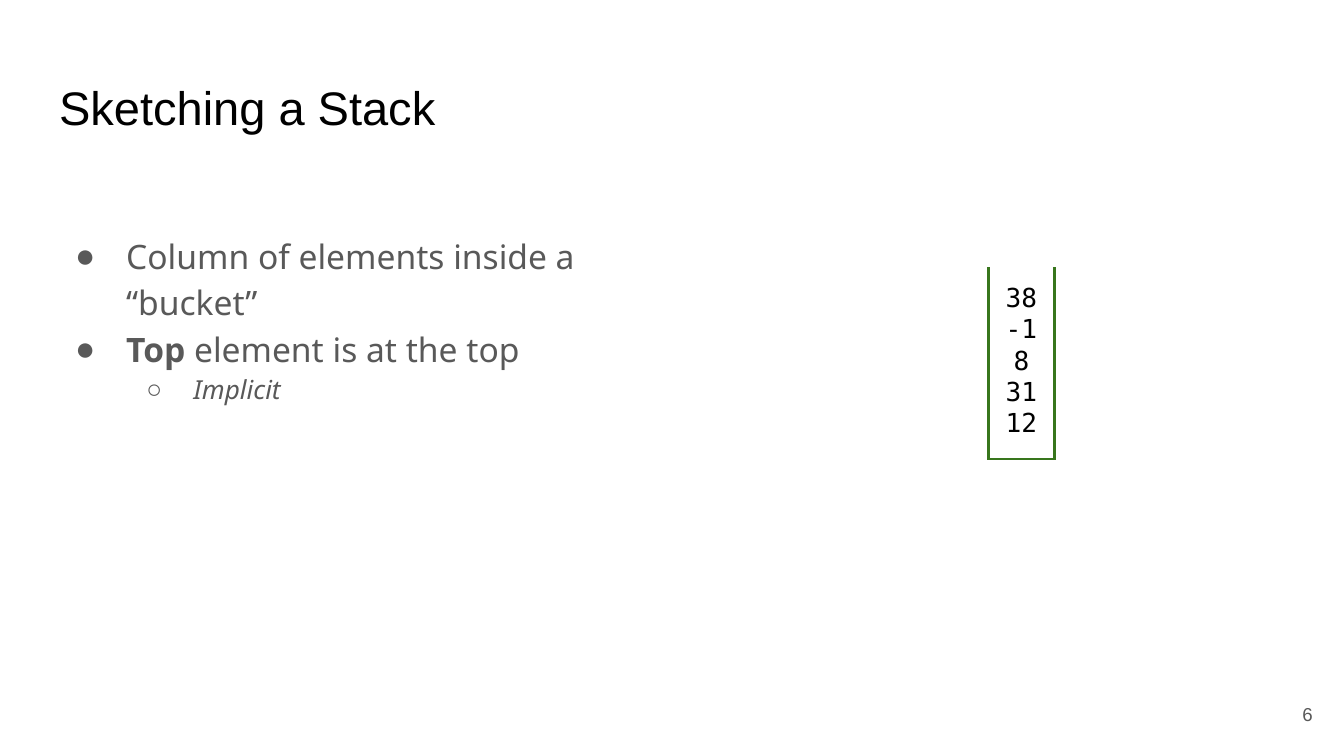
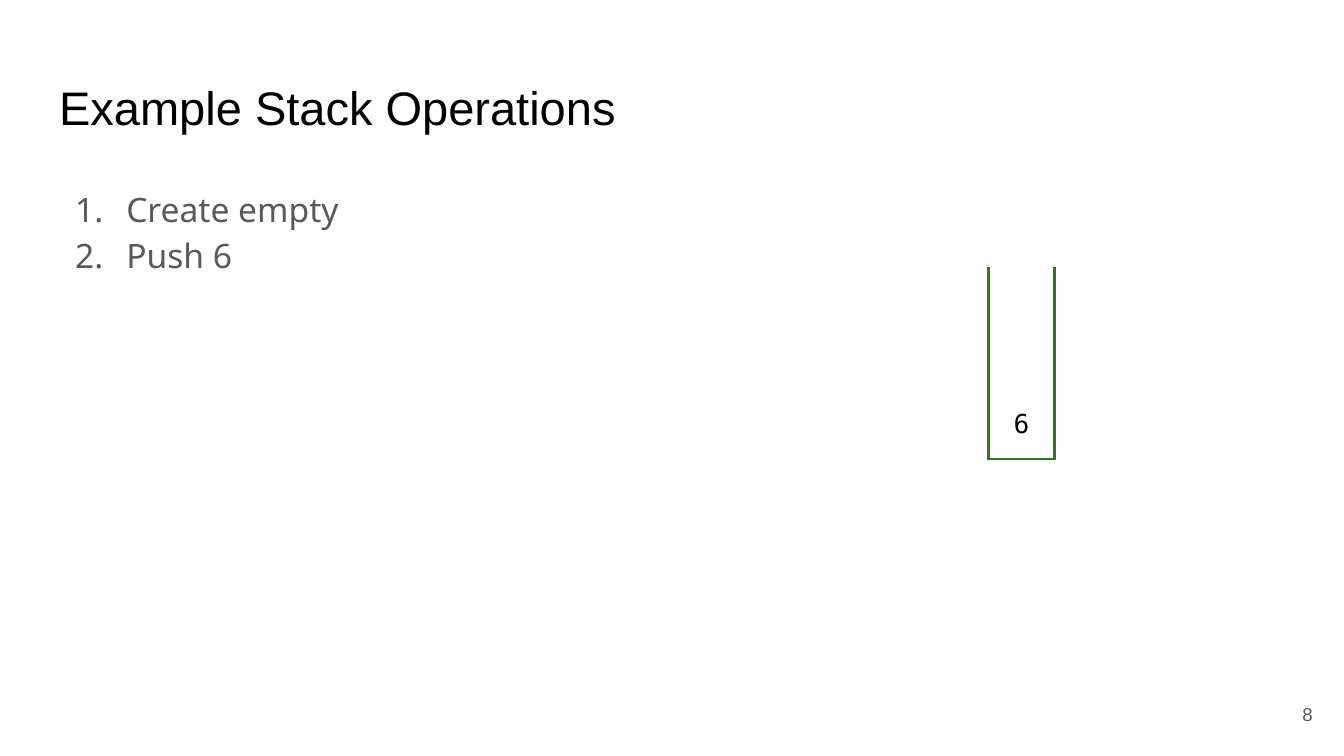
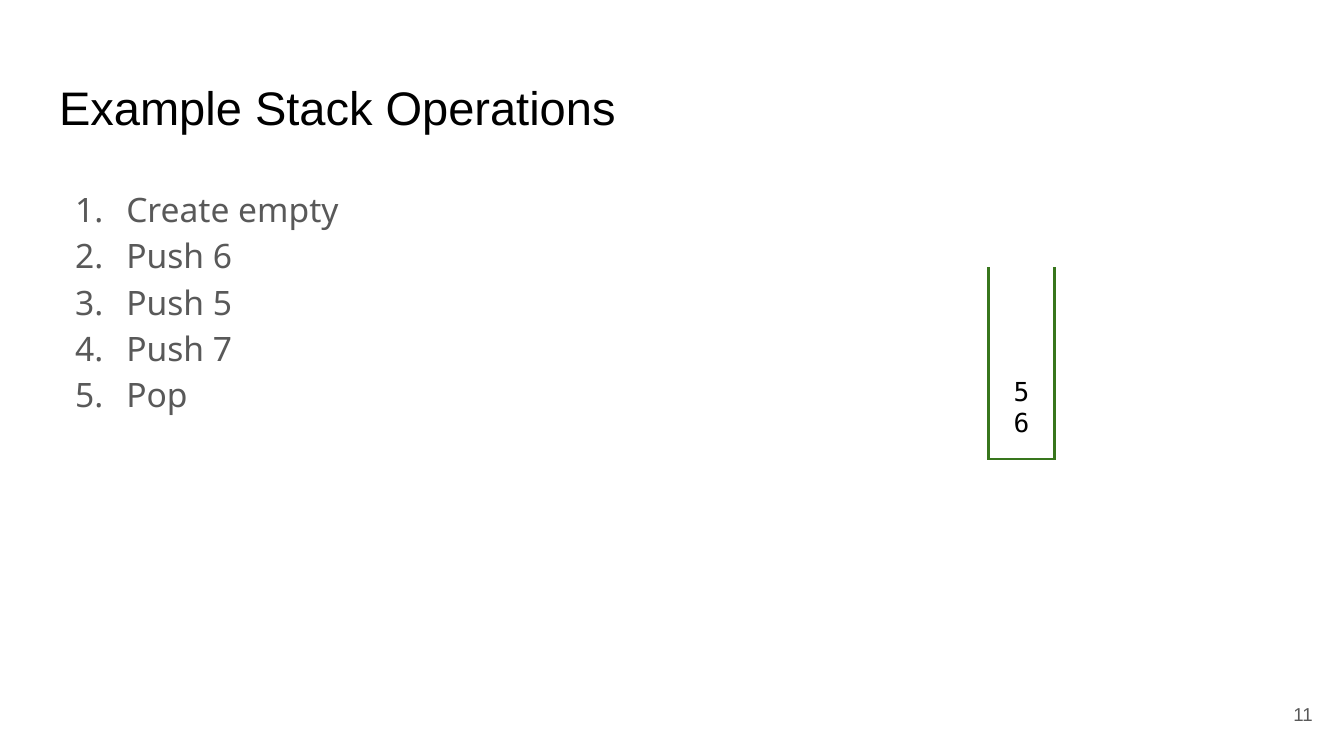
from pptx import Presentation
from pptx.dml.color import RGBColor
from pptx.enum.shapes import MSO_CONNECTOR
from pptx.enum.text import MSO_ANCHOR, PP_ALIGN
from pptx.oxml.ns import qn
from pptx.util import Inches, Pt
from lxml.etree import SubElement

WIDTH = 10
HEIGHT = WIDTH * 9 / 16
COLUMNS, ROWS = 100, 56.25
BLACK, GREY, GREEN = "000000", "595959", "38761D"
SANS, BODY, MONO = "Arial", "Noto Sans", "DejaVu Sans Mono"
MARGIN, CONTENT = 3.41, 93.2
LEVELS = [(0.5, -0.38, 18, "●"), (1, -0.35, 14, "○")]


def color(hex_code):
    return RGBColor.from_string(hex_code)


def across(columns):
    return Inches(columns * WIDTH / COLUMNS)


def down(rows):
    return Inches(rows * HEIGHT / ROWS)


class StackDeck:
    """Draws lecture slides about stacks in one shared style."""

    def __init__(self):
        self.deck = Presentation()
        self.deck.slide_width, self.deck.slide_height = Inches(WIDTH), Inches(HEIGHT)
        self.slide = None

    def start(self, heading, number):
        self.slide = self.deck.slides.add_slide(self.deck.slide_layouts[6])
        self.slide.background.fill.solid()
        self.slide.background.fill.fore_color.rgb = color("FFFFFF")
        title = self.frame(self.slide.shapes, MARGIN, 4.87, CONTENT, 6.3)
        self.run(title.paragraphs[0], heading, 25.2, SANS, BLACK)
        footer = self.frame(self.slide.shapes, 92.65, 51, 6, 4.3, MSO_ANCHOR.MIDDLE)
        footer.paragraphs[0].alignment = PP_ALIGN.RIGHT
        self.run(footer.paragraphs[0], str(number), 10, SANS, GREY)

    def frame(self, shapes, left, top, width, height, anchor=MSO_ANCHOR.TOP):
        frame = shapes.add_textbox(across(left), down(top), across(width), down(height)).text_frame
        frame.word_wrap = True
        frame.vertical_anchor = anchor
        frame.margin_left = frame.margin_right = Inches(0.1)
        frame.margin_top = frame.margin_bottom = Inches(0.1)
        return frame

    def run(self, paragraph, words, size, face, ink, bold=False, italic=False):
        run = paragraph.add_run()
        run.text = words
        run.font.size, run.font.name = Pt(size), face
        run.font.bold, run.font.italic = bold, italic
        run.font.color.rgb = color(ink)

    def paragraphs(self, frame, entries):
        for index, entry in enumerate(entries):
            yield frame.add_paragraph() if index else frame.paragraphs[0], entry

    def points(self, entries, top, width, numbered=False):
        frame = self.frame(self.slide.shapes, MARGIN, top, width, 50 - top)
        for paragraph, (level, runs) in self.paragraphs(frame, entries):
            margin, hanging, size, bullet = LEVELS[level]
            paragraph.level = level
            paragraph.line_spacing = 1.15
            self.mark(paragraph, margin, hanging, None if numbered else bullet)
            for words, emphasis in runs:
                self.run(paragraph, words, size, BODY, GREY, emphasis == "bold", emphasis == "italic")

    def mark(self, paragraph, margin, hanging, bullet):
        properties = paragraph._p.get_or_add_pPr()
        properties.set("marL", str(Inches(margin)))
        properties.set("indent", str(Inches(hanging)))
        ink = SubElement(properties, qn("a:buClr"))
        SubElement(ink, qn("a:srgbClr"), val=GREY)
        SubElement(properties, qn("a:buFont"), typeface=SANS if bullet else BODY)
        if bullet:
            SubElement(properties, qn("a:buChar"), char=bullet)
        else:
            SubElement(properties, qn("a:buAutoNum"), type="arabicPeriod")

    def line(self, shapes, x1, y1, x2, y2):
        line = shapes.add_connector(MSO_CONNECTOR.STRAIGHT, across(x1), down(y1), across(x2), down(y2))
        line.line.color.rgb = color(GREEN)
        line.line.width = Pt(1.5)
        SubElement(line._element.spPr, qn("a:effectLst"))

    def bucket(self, values):
        left, right, top, bottom = 73.55, 78.45, 19.9, 34.1
        shapes = self.slide.shapes.add_group_shape().shapes
        for side in (left, right):
            self.line(shapes, side, top, side, bottom)
        frame = self.frame(shapes, left, top, right - left, bottom - top, MSO_ANCHOR.BOTTOM)
        frame.margin_bottom = Inches(0.15)
        for paragraph, value in self.paragraphs(frame, values):
            paragraph.alignment = PP_ALIGN.CENTER
            self.run(paragraph, str(value), 14, MONO, BLACK)
        self.line(shapes, right + 0.1, bottom + 0.05, left - 0.1, bottom + 0.05)


def main():
    lecture = StackDeck()
    lecture.start("Sketching a Stack", 6)
    lecture.points([
        (0, [("Column of elements inside a “bucket”", "")]),
        (0, [("Top", "bold"), (" element is at the top", "")]),
        (1, [("Implicit", "italic")]),
    ], 16.1, 46.6)
    lecture.bucket([38, -1, 8, 31, 12])

    operations = ["Create empty", "Push 6", "Push 5", "Push 7", "Pop"]
    for number, done, stack in [(8, 2, [6]), (11, 5, [5, 6])]:
        lecture.start("Example Stack Operations", number)
        lecture.points([(0, [(step, "")]) for step in operations[:done]], 12.6, CONTENT, numbered=True)
        lecture.bucket(stack)
    lecture.deck.save("out.pptx")


main()
